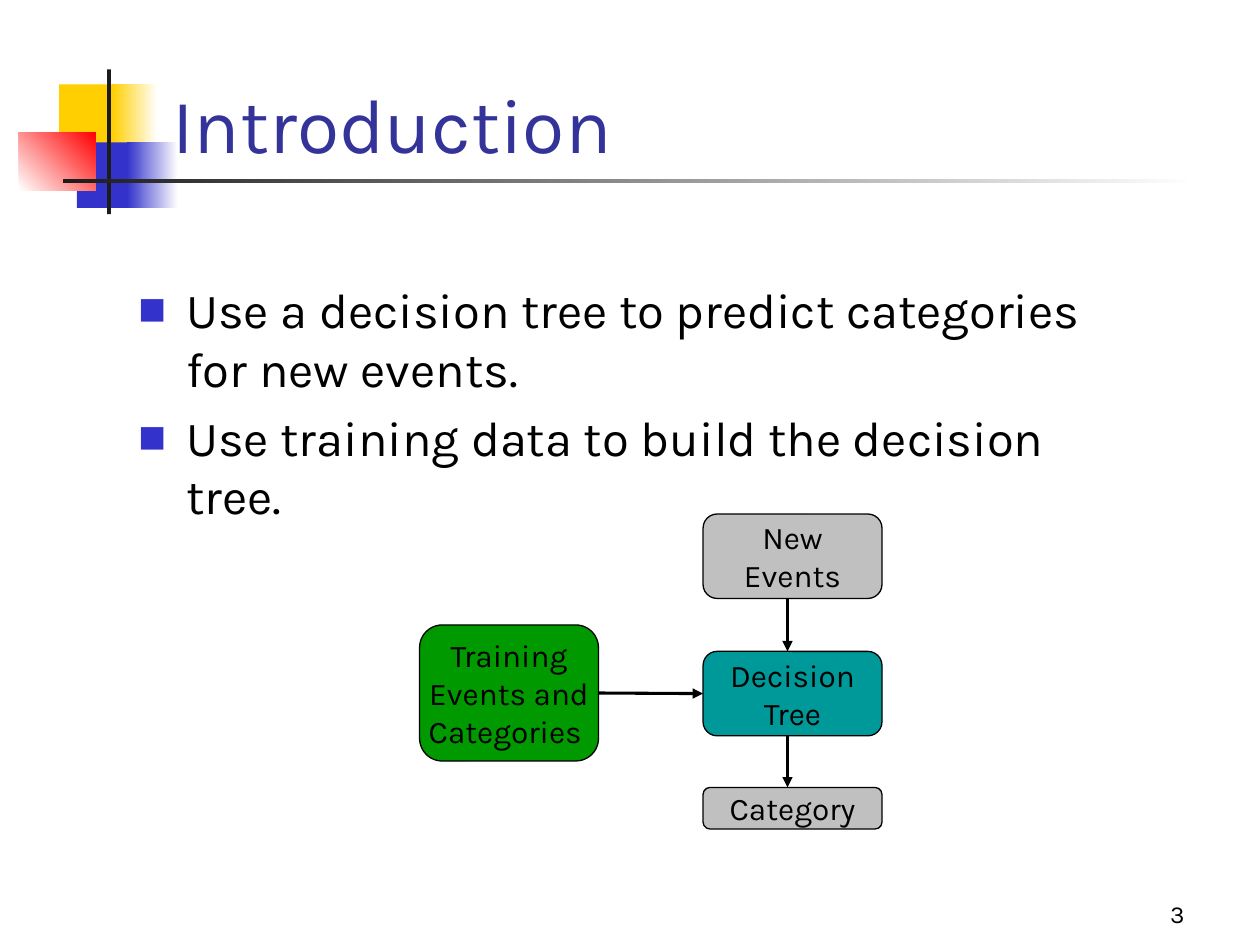
from dataclasses import dataclass
from typing import Optional

from pptx import Presentation
from pptx.dml.color import RGBColor
from pptx.enum.shapes import MSO_CONNECTOR, MSO_SHAPE
from pptx.enum.text import MSO_ANCHOR, PP_ALIGN
from pptx.oxml.ns import qn
from pptx.util import Inches, Pt
from lxml.etree import SubElement


@dataclass(frozen=True)
class Theme:
    font: str = "Karla"
    title_size: int = 44
    body_size: int = 28
    node_size: int = 18
    number_size: int = 14
    title: str = "333399"
    text: str = "000000"
    white: str = "FFFFFF"
    yellow: str = "FFCF01"
    blue: str = "3333CC"
    red: str = "FF0000"
    bar: str = "1C1C1C"
    grey: str = "C0C0C0"
    teal: str = "009999"
    green: str = "009900"


THEME = Theme()


@dataclass(frozen=True)
class Block:
    """A decorative rectangle, fading from color to fade_to if that is given."""
    left: float
    top: float
    width: float
    height: float
    color: str
    fade_to: Optional[str] = None
    angle: int = 0


@dataclass(frozen=True)
class Node:
    lines: tuple
    left: float
    top: float
    height: float
    color: str


NODE_WIDTH = 1.42
TREE_LEFT = 5.58
FLOW_X = 6.25

BLOCKS = (
    Block(0.47, 0.67, 0.48, 0.52, THEME.yellow),
    Block(0.89, 0.67, 0.36, 0.52, THEME.yellow, THEME.white),
    Block(0.61, 1.13, 0.46, 0.52, THEME.blue),
    Block(1.01, 1.13, 0.4, 0.52, THEME.blue, THEME.white),
    Block(0.15, 1.05, 0.61, 0.46, THEME.white, THEME.red, 45),
    Block(0.85, 0.55, 0.03, 1.15, THEME.bar),
    Block(0.5, 1.42, 9, 0.03, THEME.bar, THEME.white),
)
NEW_EVENTS = Node(("New", "Events"), TREE_LEFT, 4.08, 0.67, THEME.grey)
DECISION_TREE = Node(("Decision", "Tree"), TREE_LEFT, 5.17, 0.67, THEME.teal)
CATEGORY = Node(("Category",), TREE_LEFT, 6.25, 0.33, THEME.grey)
TRAINING = Node(("Training", "Events and", "Categories "), 3.33, 4.96, 1.08, THEME.green)
POINTS = (
    "Use a decision tree to predict categories for new events.",
    "Use training data to build the decision tree.",
)


def rgb(color: str) -> RGBColor:
    return RGBColor.from_string(color)


def style_text(frame, size: int, color: str, align=PP_ALIGN.LEFT) -> None:
    for paragraph in frame.paragraphs:
        paragraph.alignment = align
        for run in paragraph.runs:
            run.font.name = THEME.font
            run.font.size = Pt(size)
            run.font.color.rgb = rgb(color)


def add_block(slide, block: Block) -> None:
    shape = slide.shapes.add_shape(
        MSO_SHAPE.RECTANGLE, Inches(block.left), Inches(block.top),
        Inches(block.width), Inches(block.height))
    shape.shadow.inherit = False
    shape.line.fill.background()
    if block.fade_to is None:
        shape.fill.solid()
        shape.fill.fore_color.rgb = rgb(block.color)
        return
    shape.fill.gradient()
    shape.fill.gradient_angle = block.angle
    for stop, color in zip(shape.fill.gradient_stops, (block.color, block.fade_to)):
        stop.color.rgb = rgb(color)


def add_text(slide, text: str, left: float, top: float, width: float, height: float,
             size: int, color: str, anchor=MSO_ANCHOR.TOP, align=PP_ALIGN.LEFT):
    frame = slide.shapes.add_textbox(
        Inches(left), Inches(top), Inches(width), Inches(height)).text_frame
    frame.word_wrap = True
    frame.vertical_anchor = anchor
    frame.text = text
    style_text(frame, size, color, align)
    return frame


def add_bullet(paragraph) -> None:
    properties = paragraph._p.get_or_add_pPr()
    properties.set("marL", str(Inches(0.38)))
    properties.set("indent", str(-Inches(0.38)))
    color = SubElement(properties, qn("a:buClr"))
    SubElement(color, qn("a:srgbClr"), val=THEME.blue)
    SubElement(properties, qn("a:buSzPct"), val="60000")
    SubElement(properties, qn("a:buFont"), typeface=THEME.font)
    SubElement(properties, qn("a:buChar"), char="■")


def add_node(slide, node: Node):
    shape = slide.shapes.add_shape(
        MSO_SHAPE.ROUNDED_RECTANGLE, Inches(node.left), Inches(node.top),
        Inches(NODE_WIDTH), Inches(node.height))
    shape.shadow.inherit = False
    shape.fill.solid()
    shape.fill.fore_color.rgb = rgb(node.color)
    shape.line.color.rgb = rgb(THEME.text)
    shape.line.width = Pt(0.75)
    frame = shape.text_frame
    frame.margin_left = frame.margin_right = frame.margin_top = frame.margin_bottom = 0
    frame.word_wrap = False
    frame.vertical_anchor = MSO_ANCHOR.MIDDLE
    frame.text = "\n".join(node.lines)
    style_text(frame, THEME.node_size, THEME.text, PP_ALIGN.CENTER)
    return shape


def add_arrow(slide, x1: float, y1: float, x2: float, y2: float):
    arrow = slide.shapes.add_connector(
        MSO_CONNECTOR.STRAIGHT, Inches(x1), Inches(y1), Inches(x2), Inches(y2))
    arrow.line.color.rgb = rgb(THEME.text)
    arrow.line.width = Pt(1.75)
    SubElement(arrow.line._get_or_add_ln(), qn("a:tailEnd"), type="triangle")
    SubElement(arrow._element.spPr, qn("a:effectLst"))
    return arrow


def main() -> None:
    deck = Presentation()
    deck.slide_width, deck.slide_height = Inches(10), Inches(7.5)
    slide = deck.slides.add_slide(deck.slide_layouts[6])

    for block in BLOCKS:
        add_block(slide, block)
    add_text(slide, "3", 7.42, 6.92, 2.08, 0.5, THEME.number_size, THEME.text,
             MSO_ANCHOR.BOTTOM, PP_ALIGN.RIGHT)
    add_text(slide, "Introduction", 1.27, 0.14, 8.52, 1.25, THEME.title_size,
             THEME.title, MSO_ANCHOR.BOTTOM)

    points = add_text(slide, "\n".join(POINTS), 1, 2.17, 8.04, 1.63,
                      THEME.body_size, THEME.text)
    for index, paragraph in enumerate(points.paragraphs):
        if index:
            paragraph.space_before = Pt(0.2 * THEME.body_size)
        add_bullet(paragraph)

    add_node(slide, NEW_EVENTS)
    tree = add_node(slide, DECISION_TREE)
    add_node(slide, CATEGORY)
    training = add_node(slide, TRAINING)

    training_arrow = add_arrow(slide, TRAINING.left + NODE_WIDTH, 5.5, TREE_LEFT, 5.5)
    training_arrow.begin_connect(training, 3)
    training_arrow.end_connect(tree, 1)
    for source, target in ((NEW_EVENTS, DECISION_TREE), (DECISION_TREE, CATEGORY)):
        add_arrow(slide, FLOW_X, source.top + source.height, FLOW_X, target.top)

    deck.save("out.pptx")


if __name__ == "__main__":
    main()
